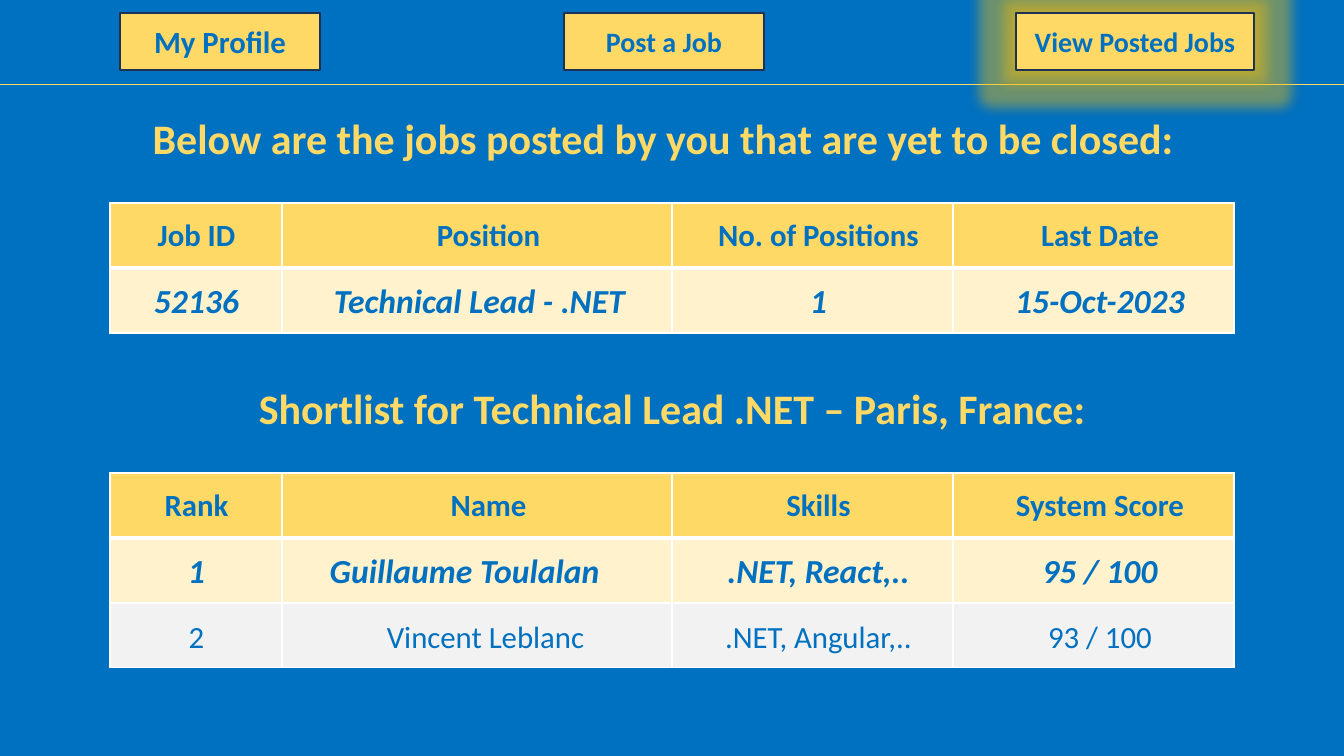
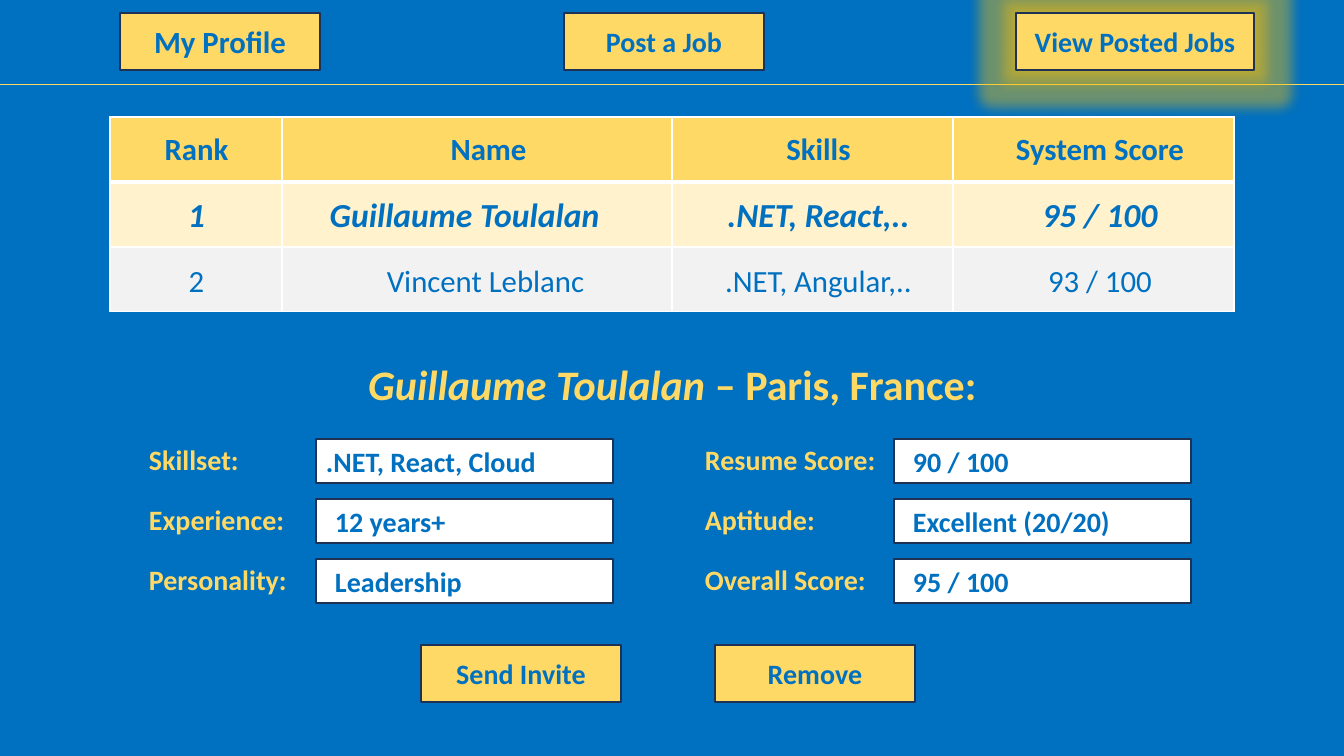
from dataclasses import dataclass

from lxml import etree
from pptx import Presentation
from pptx.dml.color import RGBColor
from pptx.enum import shapes, text
from pptx.oxml import ns
from pptx.util import Emu, Pt


@dataclass(frozen=True)
class Theme:
    font: str = "Calibri"
    blue: str = "0070C0"
    gold: str = "FFD966"
    amber: str = "FFC000"
    cream: str = "FFF2CC"
    grey: str = "F2F2F2"
    white: str = "FFFFFF"
    outline: str = "1E3256"
    heading: int = 30
    lead: int = 24
    body: int = 22
    small: int = 20


T = Theme()
CENTER = text.PP_ALIGN.CENTER
LEFT = text.PP_ALIGN.LEFT
ROW_HEIGHT = 65
COLUMNS = (172, 390, 281, 281)
ENTRY_SPANS = ((132, 129), (320, 331), (706, 225), (998, 204))
SHORTLIST = (
    (("Rank", "Name", "Skills", "System Score"), "header", 3),
    (("1", "Guillaume Toulalan", ".NET, React,..", "95 / 100"), "lead", -21),
    (("2", "Vincent Leblanc", ".NET, Angular,..", "93 / 100"), "plain", 0),
)
OPEN_JOBS = (
    (("Job ID", "Position", "No. of Positions", "Last Date"), "header", 3),
    (("52136", "Technical Lead - .NET", "1", "15-Oct-2023"), "lead", -6),
)
ROW_STYLES = {
    "header": (T.gold, T.body, True, False, 8),
    "lead": (T.cream, T.lead, True, True, 7),
    "plain": (T.grey, T.body, False, False, 10),
}
FIELD_COLUMNS = (
    (139, 316, (("Skillset:", ".NET, React, Cloud", 10),
                ("Experience:", "12 years+", 19),
                ("Personality:", "Leadership", 19))),
    (695, 894, (("Resume Score:", "90 / 100", 19),
                ("Aptitude:", "Excellent (20/20)", 19),
                ("Overall Score:", "95 / 100", 19))),
)


def px(n):
    return Emu(round(n * 914400 / 100.8))


def rgb(value):
    return RGBColor.from_string(value)


def add_xml(parent, tag, **attrs):
    return etree.SubElement(parent, ns.qn(tag), {k: str(v) for k, v in attrs.items()})


class JobBoard:
    """Draws the pages of a job board in one shared style."""

    def __init__(self):
        self.prs = Presentation()
        self.prs.slide_width, self.prs.slide_height = px(1344), px(756)
        fill = self.prs.slide_master.background.fill
        fill.solid()
        fill.fore_color.rgb = rgb(T.blue)
        self.slide = None

    def page(self):
        self.slide = self.prs.slides.add_slide(self.prs.slide_layouts[6])
        self.rule(84)
        self.button("My Profile", 120, 13, size=T.body)
        self.button("Post a Job", 564, 13)
        self.glow(self.button("View Posted Jobs", 1016, 13, w=238))

    def run(self, p, words, color, size, bold=True, italic=False):
        r = p.add_run()
        r.text = words
        f = r.font
        f.name, f.size, f.bold, f.italic = T.font, Pt(size), bold, italic
        f.color.rgb = rgb(color)

    def rule(self, y):
        line = self.slide.shapes.add_connector(
            shapes.MSO_CONNECTOR.STRAIGHT, 0, px(y), px(1344), px(y))
        line.line.color.rgb = rgb(T.gold)
        line.line.width = Pt(0.5)
        add_xml(line._element.spPr, "a:effectLst")

    def box(self, words, x, y, w, h, fill, size, align, inset=0):
        sp = self.slide.shapes.add_shape(
            shapes.MSO_SHAPE.RECTANGLE, px(x), px(y), px(w), px(h))
        sp.shadow.inherit = False
        sp.fill.solid()
        sp.fill.fore_color.rgb = rgb(fill)
        sp.line.color.rgb = rgb(T.outline)
        sp.line.width = Pt(1)
        tf = sp.text_frame
        tf.margin_left, tf.margin_right = px(inset), 0
        tf.margin_top = tf.margin_bottom = 0
        tf.vertical_anchor = text.MSO_ANCHOR.MIDDLE
        p = tf.paragraphs[0]
        p.alignment = align
        self.run(p, words, T.blue, size)
        return sp

    def button(self, words, x, y, w=200, size=T.small):
        return self.box(words, x, y, w, 57, T.gold, size, CENTER)

    def glow(self, sp):
        effects = sp._element.spPr.find(ns.qn("a:effectLst"))
        halo = add_xml(effects, "a:glow", rad=px(25))
        shade = add_xml(effects, "a:outerShdw", blurRad=px(8), dist=0,
                        algn="ctr", rotWithShape=0)
        for effect in (halo, shade):
            add_xml(add_xml(effect, "a:srgbClr", val=T.amber), "a:alpha", val=40000)

    def label(self, x, y, w, h, align=LEFT):
        tf = self.slide.shapes.add_textbox(px(x), px(y), px(w), px(h)).text_frame
        tf.word_wrap = True
        tf.auto_size = text.MSO_AUTO_SIZE.SHAPE_TO_FIT_TEXT
        p = tf.paragraphs[0]
        p.alignment = align
        return p

    def heading(self, y, *runs, x=93):
        p = self.label(x, y, 1159, 61, CENTER)
        for words, italic in runs:
            self.run(p, words, T.gold, T.heading, italic=italic)

    def field(self, name, value, x, box_x, y, inset):
        self.run(self.label(x, y, 200, 44), name, T.gold, T.small)
        self.box(value, box_x, y + 1, 297, 44, T.white, T.small, LEFT, inset)

    def table(self, rows, y):
        table = self.slide.shapes.add_table(
            len(rows), len(COLUMNS), px(110), px(y),
            px(sum(COLUMNS)), px(ROW_HEIGHT * len(rows))).table
        for column, width in zip(table.columns, COLUMNS):
            column.width = px(width)
        for i, (values, kind, name_shift) in enumerate(rows):
            table.rows[i].height = px(ROW_HEIGHT)
            for j, words in enumerate(values):
                self.cell(table.cell(i, j), kind, 3 if i == 1 else 1)
                shift = name_shift if j == 1 else 0
                self.entry(words, kind, j, y + ROW_HEIGHT * i, shift)

    def entry(self, words, kind, column, row_y, shift):
        _, size, bold, italic, drop = ROW_STYLES[kind]
        x, w = ENTRY_SPANS[column]
        p = self.label(x + shift, row_y + drop, w, 47, CENTER)
        self.run(p, words, T.blue, size, bold, italic)

    def cell(self, cell, kind, top):
        tc_pr = cell._tc.get_or_add_tcPr()
        bottom = 3 if kind == "header" else 1
        for side, width in (("L", 1), ("R", 1), ("T", top), ("B", bottom)):
            ln = add_xml(tc_pr, f"a:ln{side}", w=Pt(width))
            add_xml(add_xml(ln, "a:solidFill"), "a:srgbClr", val=T.white)
        cell.fill.solid()
        cell.fill.fore_color.rgb = rgb(ROW_STYLES[kind][0])


def main():
    board = JobBoard()

    board.page()
    board.heading(108, ("Below are the jobs posted by you that are yet to be closed:", False), x=84)
    board.table(OPEN_JOBS, 203)
    board.heading(378, ("Shortlist for Technical Lead .NET – Paris, France:", False))
    board.table(SHORTLIST, 473)

    board.page()
    board.table(SHORTLIST, 117)
    board.heading(354, ("Guillaume Toulalan ", True), ("– Paris, France:", False))
    for x, box_x, fields in FIELD_COLUMNS:
        for i, (name, value, inset) in enumerate(fields):
            board.field(name, value, x, box_x, 438 + 60 * i, inset)
    for x, words in ((421, "Send Invite"), (715, "Remove")):
        board.button(words, x, 645)

    board.prs.save("out.pptx")


if __name__ == "__main__":
    main()
